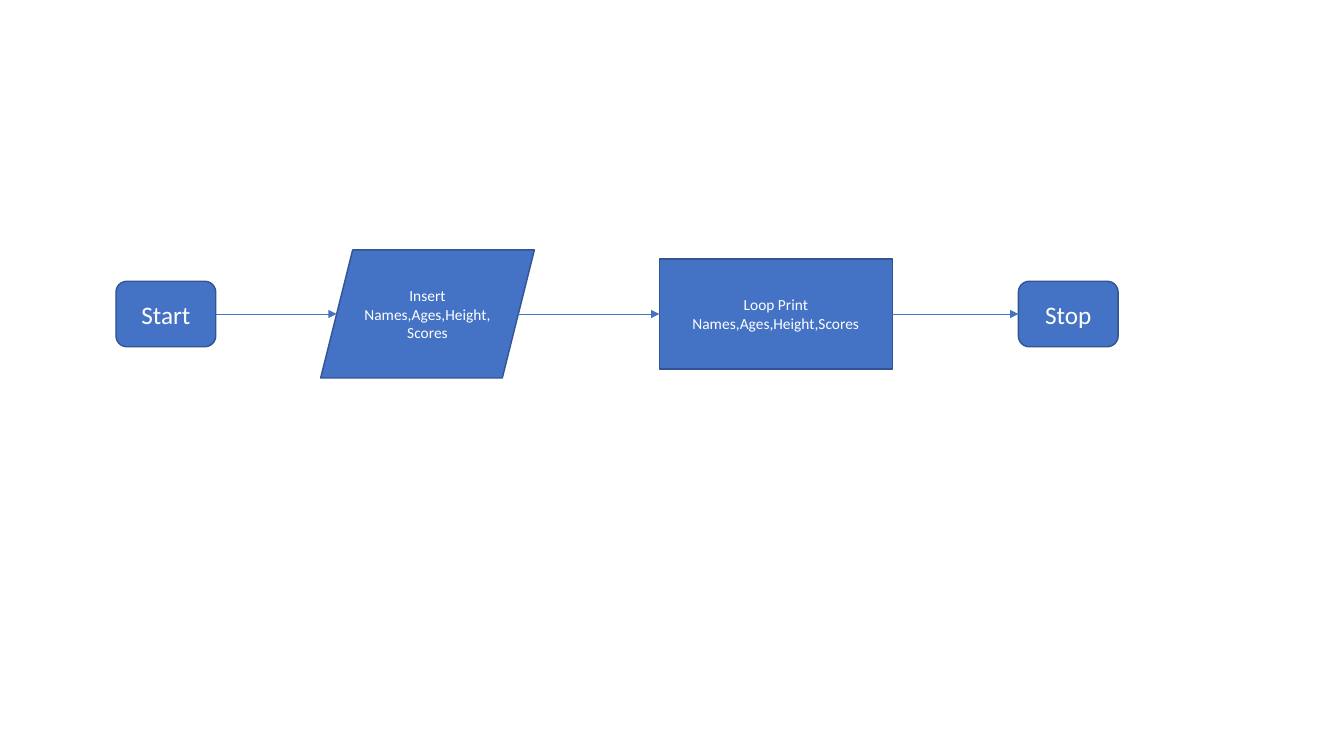
import pptx
import pptx.util
import pptx.dml.color
import pptx.enum.shapes
import pptx.enum.text
import pptx.oxml.ns
import lxml.etree

Inches = pptx.util.Inches
KINDS = pptx.enum.shapes.MSO_SHAPE
COLOURS = {"fill": "4472C4", "border": "325491", "text": "FFFFFF", "arrow": "4472C4"}
SLANT = 0.25
STEPS = [
    ("Start", KINDS.ROUNDED_RECTANGLE, 0, 0.99, 0.65, 18),
    ("Insert Names,Ages,Height,Scores", KINDS.PARALLELOGRAM, 2.03, 2.12, 1.27, 11),
    ("Loop Print Names,Ages,Height,Scores", KINDS.RECTANGLE, 5.39, 2.31, 1.09, 11),
    ("Stop", KINDS.ROUNDED_RECTANGLE, 8.95, 0.99, 0.65, 18),
]


def colour(name):
    """Return the named colour."""
    return pptx.dml.color.RGBColor.from_string(COLOURS[name])


def add_step(page, label, kind, left, middle, width, height, size):
    """Add one flowchart step centred on the middle line."""
    box = page.shapes.add_shape(
        kind, Inches(left), Inches(middle - height / 2), Inches(width), Inches(height))
    box.shadow.inherit = False
    box.fill.solid()
    box.fill.fore_color.rgb = colour("fill")
    box.line.color.rgb = colour("border")
    box.line.width = pptx.util.Pt(1)
    frame = box.text_frame
    frame.text = label
    frame.word_wrap = True
    frame.vertical_anchor = pptx.enum.text.MSO_ANCHOR.MIDDLE
    para = frame.paragraphs[0]
    para.alignment = pptx.enum.text.PP_ALIGN.CENTER
    span = para.runs[0]
    span.font.name = "Calibri"
    span.font.size = pptx.util.Pt(size)
    span.font.color.rgb = colour("text")


def add_arrow(page, start, end, middle):
    """Add a horizontal arrow between two steps."""
    arrow = page.shapes.add_connector(
        pptx.enum.shapes.MSO_CONNECTOR.STRAIGHT,
        Inches(start), Inches(middle), Inches(end), Inches(middle))
    arrow.line.color.rgb = colour("arrow")
    arrow.line.width = pptx.util.Pt(0.5)
    line = arrow.line._get_or_add_ln()
    lxml.etree.SubElement(line, pptx.oxml.ns.qn("a:tailEnd"), type="triangle")
    lxml.etree.SubElement(arrow._element.spPr, pptx.oxml.ns.qn("a:effectLst"))


def add_flowchart(page, left, top, height):
    """Add the steps and the arrows that join their edges."""
    middle = top + height / 2
    edges = []
    for label, kind, offset, width, step_height, size in STEPS:
        start = left + offset
        add_step(page, label, kind, start, middle, width, step_height, size)
        inset = SLANT * step_height / 2 if kind == KINDS.PARALLELOGRAM else 0
        edges.append((start + inset, start + width - inset))
    for (_, start), (end, _) in zip(edges, edges[1:]):
        add_arrow(page, start, end, middle)


def main():
    """Build and save the deck."""
    deck = pptx.Presentation()
    deck.slide_width, deck.slide_height = Inches(13.33), Inches(7.5)
    page = deck.slides.add_slide(deck.slide_layouts[6])
    add_flowchart(page, 1.15, 2.48, 1.27)
    deck.save("out.pptx")


main()
